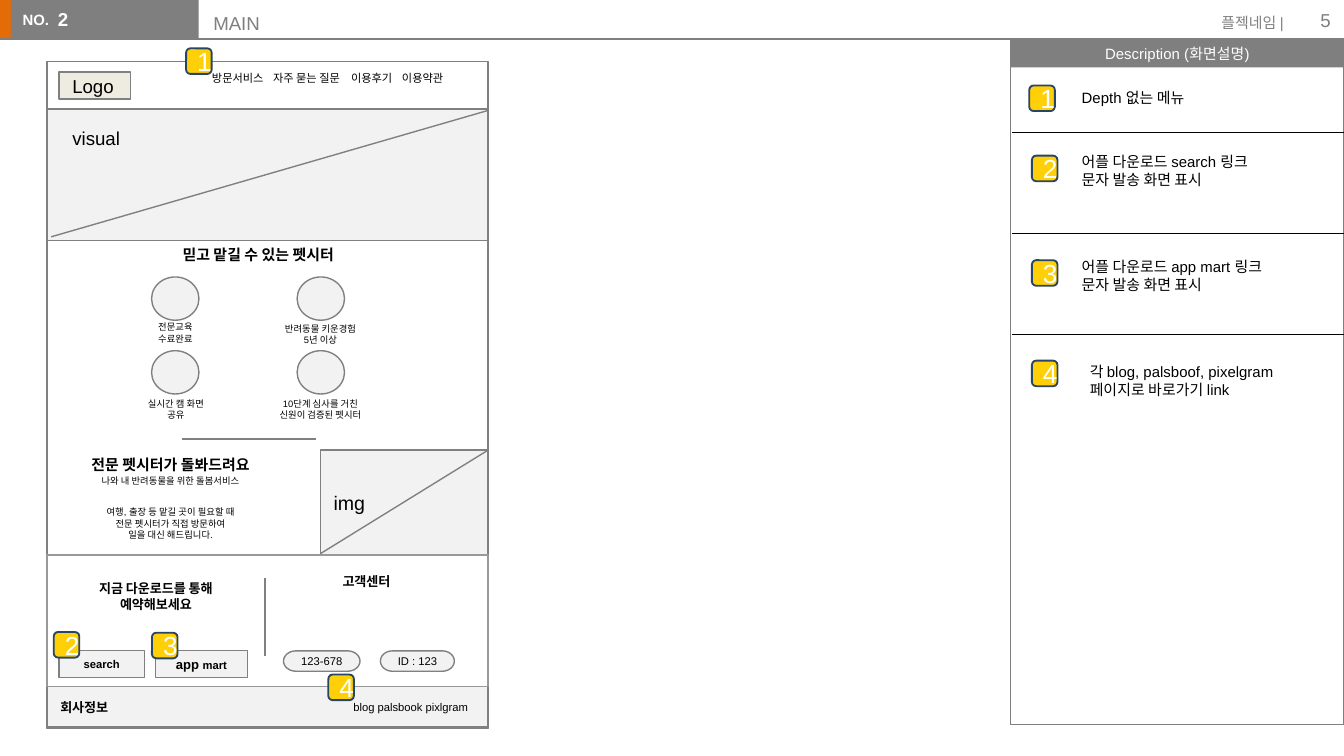
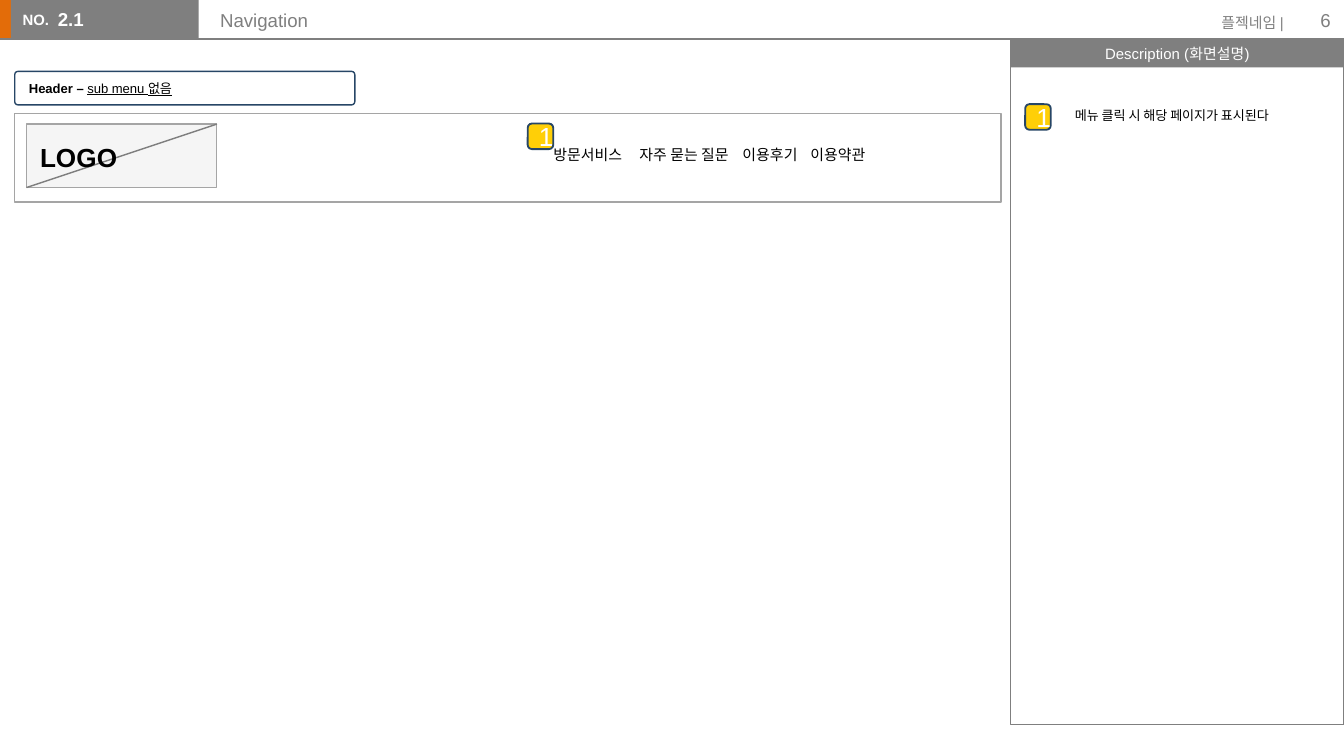
from dataclasses import dataclass

from lxml.etree import SubElement
from pptx import Presentation
from pptx.dml.color import RGBColor
from pptx.enum.shapes import MSO_CONNECTOR, MSO_SHAPE as Kind
from pptx.enum.text import MSO_ANCHOR as Anchor, MSO_AUTO_SIZE as AutoSize, PP_ALIGN as Align
from pptx.oxml.ns import qn
from pptx.util import Pt


@dataclass(frozen=True)
class Theme:
    font: str = "Arial"
    white: str = "FFFFFF"
    black: str = "000000"
    accent: str = "E36C09"
    band: str = "7F7F7F"
    outline: str = "808080"
    pale_outline: str = "A5A5A5"
    panel_outline: str = "999999"
    wire: str = "F2F2F2"
    cream: str = "EEECE1"
    yellow: str = "FFCF07"
    navy: str = "274666"
    tiny: float = 5
    small: float = 6
    label: float = 7
    body: float = 8
    title: float = 10
    image: float = 10.5
    badge: float = 14
    hairline: float = 0.25
    line: float = 0.75


THEME = Theme()
SNUG = (7.2, 3.6)
EVEN = (7.2, 7.2)
MENU = "방문서비스\t자주 묻는 질문\t이용후기\t이용약관"


def colour(code):
    return RGBColor.from_string(code)


def add_box(shapes, at, fill=None, line=None, kind=Kind.RECTANGLE, weight=THEME.line, alpha=None):
    box = shapes.add_shape(kind, *map(Pt, at))
    box.shadow.inherit = False
    if fill:
        box.fill.solid()
        box.fill.fore_color.rgb = colour(fill)
        if alpha:
            shade = box.fill._xPr.find(qn("a:solidFill"))[0]
            SubElement(shade, qn("a:alpha"), val=str(alpha * 1000))
    else:
        box.fill.background()
    if line:
        box.line.color.rgb = colour(line)
        box.line.width = Pt(weight)
    else:
        box.line.fill.background()
    return box


def add_line(shapes, start, end, tint=THEME.outline, weight=THEME.line):
    line = shapes.add_connector(MSO_CONNECTOR.STRAIGHT, *map(Pt, start + end))
    line.line.color.rgb = colour(tint)
    line.line.width = Pt(weight)
    SubElement(line._element.spPr, qn("a:effectLst"))


def style(font, size=None, bold=None, tint=None, underline=None):
    if size:
        font.size = Pt(size)
    if bold is not None:
        font.bold = bold
    if tint:
        font.color.rgb = colour(tint)
    if underline:
        font.underline = True


def write(box, lines, size, tint=THEME.black, bold=False, align=Align.LEFT,
          inset=SNUG, anchor=Anchor.TOP, wrap=True, tabs=()):
    frame = box.text_frame
    frame.word_wrap = wrap
    frame.vertical_anchor = anchor
    frame.margin_left = frame.margin_right = Pt(inset[0])
    frame.margin_top = frame.margin_bottom = Pt(inset[1])
    for index, line in enumerate(lines):
        para = frame.paragraphs[0] if index == 0 else frame.add_paragraph()
        para.alignment = align
        if tabs:
            stops = SubElement(para._p.get_or_add_pPr(), qn("a:tabLst"))
            for stop in tabs:
                SubElement(stops, qn("a:tab"), pos=str(Pt(stop)), algn="l")
        para.font.name = THEME.font
        style(para.font, size, bold, tint)
        for text, changes in [(line, {})] if isinstance(line, str) else line:
            span = para.add_run()
            span.text = text
            style(span.font, **changes)
    return frame


def add_text(page, at, lines, size, **options):
    return write(page.shapes.add_textbox(*map(Pt, at)), lines, size, **options)


def add_badge(page, left, top, number):
    badge = add_box(page.shapes, (left, top, 13.7, 13.7), THEME.yellow, THEME.navy,
                    Kind.ROUNDED_RECTANGLE, weight=1)
    write(badge, [str(number)], THEME.badge, tint=THEME.white, align=Align.CENTER,
          anchor=Anchor.MIDDLE)


def add_note(page, at, lines, size=THEME.body):
    add_text(page, at, lines, size).auto_size = AutoSize.SHAPE_TO_FIT_TEXT


def add_page(deck, section, title, title_at, number):
    page = deck.slides.add_slide(deck.slide_layouts[6])
    shapes = page.shapes
    add_box(shapes, (-0.7, 0, 8.6, 21), THEME.accent)
    add_box(shapes, (5.8, 0, 100.6, 21), THEME.band)
    add_text(page, (5, 2.2, 29.5, 17.3), ["NO."], THEME.body, tint=THEME.white, bold=True)
    add_line(shapes, (0, 21), (551.5, 21), THEME.band)
    header = add_box(shapes, (541.4, 21, 178.6, 15.1), THEME.band)
    write(header, ["Description (화면설명)"], THEME.body, tint=THEME.white,
          align=Align.CENTER, inset=(6.5, 2.9), anchor=Anchor.MIDDLE)
    add_box(shapes, (541.4, 21, 178.6, 367.2), line=THEME.band)
    add_text(page, (643, 3.6, 51.8, 17.3), ["플젝네임 |"], THEME.body, tint=THEME.band,
             align=Align.RIGHT)
    add_text(page, (676.8, 0, 43.2, 21.6), [str(number)], THEME.title, tint=THEME.band,
             align=Align.RIGHT, anchor=Anchor.MIDDLE)
    add_text(page, title_at + (404, 23), [title], THEME.title, tint=THEME.band)
    add_text(page, (31, 0.7, 79.2, 22.3), [section], THEME.title, tint=THEME.white,
             bold=True, inset=(0, 3.6))
    return page


def add_top(page):
    shapes = page.shapes
    add_box(shapes, (25.2, 33.1, 236.2, 357.1), line=THEME.outline)
    add_text(page, (106.5, 34.6, 151.2, 13.7), [MENU], THEME.small, inset=EVEN,
             tabs=(32.7, 74.5, 101.8))
    logo = add_box(shapes, (31.7, 38.7, 38.2, 14.4), THEME.cream, THEME.outline)
    write(logo, ["Logo"], THEME.title, inset=EVEN, anchor=Anchor.MIDDLE)
    add_box(shapes, (25.2, 58.3, 236.2, 70.6), THEME.wire, THEME.outline)
    add_line(shapes, (27.4, 126.9), (261.4, 59.2))
    add_text(page, (31.7, 61.9, 65.5, 33.1), ["visual"], THEME.title, inset=EVEN)


def add_features(page):
    add_text(page, (90.7, 126.7, 137.5, 17.3), ["믿고 맡길 수 있는 펫시터"], THEME.body,
             bold=True, inset=EVEN)
    features = [
        ((70.6, 166.3, 46.8), ["전문교육", "수료완료"]),
        ((143.3, 167, 56.9), ["반려동물 키운경험", "5년 이상"]),
        ((69.8, 207.4, 49), ["실시간 캠 화면", "공유"]),
        ((139.7, 207.4, 64.1), ["10단계 심사를 거친", "신원이 검증된 펫시터"]),
    ]
    for index, (at, lines) in enumerate(features):
        row, column = divmod(index, 2)
        add_box(page.shapes, (81.2 + 78 * column, 148.4 + 39.5 * row, 25.4, 23.2),
                THEME.wire, THEME.outline, Kind.OVAL)
        add_text(page, at + (23,), lines, THEME.tiny, align=Align.CENTER, inset=EVEN)
    add_line(page.shapes, (97.7, 235.2), (169.3, 235.2))


def add_service(page):
    shapes = page.shapes
    lines = [
        [("전문 펫시터가 돌봐드려요", {"size": THEME.body, "bold": True})],
        "나와 내 반려동물을 위한 돌봄서비스",
        "여행, 출장 등 맡길 곳이 필요할 때",
        "전문 펫시터가 직접 방문하여",
        "일을 대신 해드립니다.",
    ]
    frame = add_text(page, (31.7, 235.4, 119.5, 65.5), lines, THEME.tiny,
                     align=Align.CENTER, inset=EVEN)
    for para in frame.paragraphs[:2]:
        para.line_spacing = 1.15
    frame.paragraphs[2].space_before = Pt(11)
    image = add_box(shapes, (171.7, 241.2, 89.7, 56), THEME.wire, THEME.outline)
    write(image, ["img"], THEME.image, inset=EVEN, anchor=Anchor.MIDDLE)
    add_line(shapes, (261.4, 241.2), (171.7, 296.6))


def add_contact(page):
    shapes = page.shapes
    company = add_box(shapes, (25.2, 367.9, 236.2, 21.6), THEME.wire, THEME.outline)
    write(company, ["회사정보"], THEME.label, bold=True, inset=EVEN, anchor=Anchor.MIDDLE)
    add_box(shapes, (25.2, 297.4, 236.2, 70.5), THEME.white, THEME.panel_outline)
    add_text(page, (40.3, 303.8, 86.4, 35.3), ["지금 다운로드를 통해", "예약해보세요"],
             THEME.label, bold=True, align=Align.CENTER, inset=EVEN)
    add_text(page, (176.4, 303.1, 46.8, 23.8), ["고객센터"], THEME.label, bold=True, inset=EVEN)
    store = [("app ", {"size": THEME.label}), ("mart", {})]
    buttons = [
        (Kind.RECTANGLE, 31.7, 45.6, 14.4, "search", True),
        (Kind.RECTANGLE, 83.3, 49.2, 14.4, store, True),
        (Kind.FLOWCHART_TERMINATOR, 151.9, 41, 10.9, "123-678", False),
        (Kind.FLOWCHART_TERMINATOR, 203.8, 39.6, 10.9, "ID : 123", False),
    ]
    for kind, left, width, height, line, bold in buttons:
        button = add_box(shapes, (left, 348.7, width, height), THEME.wire, THEME.outline, kind)
        write(button, [line], THEME.small, bold=bold, align=Align.CENTER, inset=EVEN,
              anchor=Anchor.MIDDLE, wrap=False)
    add_line(shapes, (141.9, 309.6), (141.9, 351.4))
    add_text(page, (182.2, 371.5, 77.8, 14.4), ["blog palsbook pixlgram"], THEME.small)


def build_main_page(deck):
    page = add_page(deck, "2", "MAIN", (107.2, 2.9), 5)
    add_top(page)
    add_features(page)
    add_service(page)
    add_contact(page)
    marks = [(99.7, 25.9), (28.8, 338.6), (81.4, 339), (175.9, 361.4)]
    for number, (left, top) in enumerate(marks, 1):
        add_badge(page, left, top, number)
    notes = [
        (551.4, 45.8, (572.4, 43.9, 74.2, 17.3), ["Depth 없는 메뉴"]),
        (552.8, 83.4, (572.4, 78.5, 113.8, 26.6),
         ["어플 다운로드 search 링크", "문자 발송 화면 표시"]),
        (552.8, 139.4, (572.4, 134.6, 123.1, 26.6),
         ["어플 다운로드 app mart 링크", "문자 발송 화면 표시"]),
        (552.8, 193.2, (576.7, 190.8, 118.8, 26.6),
         ["각 blog, palsboof, pixelgram 페이지로 바로가기 link"]),
    ]
    for number, (left, top, at, lines) in enumerate(notes, 1):
        add_badge(page, left, top, number)
        add_note(page, at, lines)
    for row in range(3):
        height = 70.6 + 54.35 * row
        add_line(page.shapes, (542.2, height), (720, height), THEME.black, THEME.hairline)


def build_navigation_page(deck):
    page = add_page(deck, "2.1", "Navigation", (110.9, 1.4), 6)
    shapes = page.shapes
    add_box(shapes, (7.9, 60.7, 528.3, 47.5), THEME.white, THEME.pale_outline, alpha=70)
    logo = shapes.add_group_shape().shapes
    add_box(logo, (14.2, 66.5, 102, 34), THEME.wire, THEME.pale_outline, alpha=70)
    add_line(logo, (116.2, 66.5), (14.2, 100.5), THEME.band)
    add_text(page, (14.4, 72, 76.3, 24.5), ["LOGO"], THEME.badge, bold=True)
    header = add_box(shapes, (7.9, 38.2, 182.2, 18), THEME.white, THEME.navy,
                     Kind.ROUNDED_RECTANGLE)
    header.adjustments[0] = 0.1
    spans = [("Header – ", {"bold": True}), ("sub menu 없음", {"underline": True})]
    write(header, [spans], THEME.label, anchor=Anchor.MIDDLE)
    add_text(page, (289.4, 74.2, 226.1, 18), [MENU], THEME.body, tabs=(46.1, 101.3, 137.7))
    add_badge(page, 282.7, 66.2, 1)
    add_badge(page, 549.2, 55.8, 1)
    add_note(page, (568.8, 54, 184.3, 15.8), ["메뉴 클릭 시 해당 페이지가 표시된다"], THEME.label)


def main():
    deck = Presentation()
    deck.slide_width, deck.slide_height = Pt(720), Pt(405)
    build_main_page(deck)
    build_navigation_page(deck)
    deck.save("out.pptx")


main()
